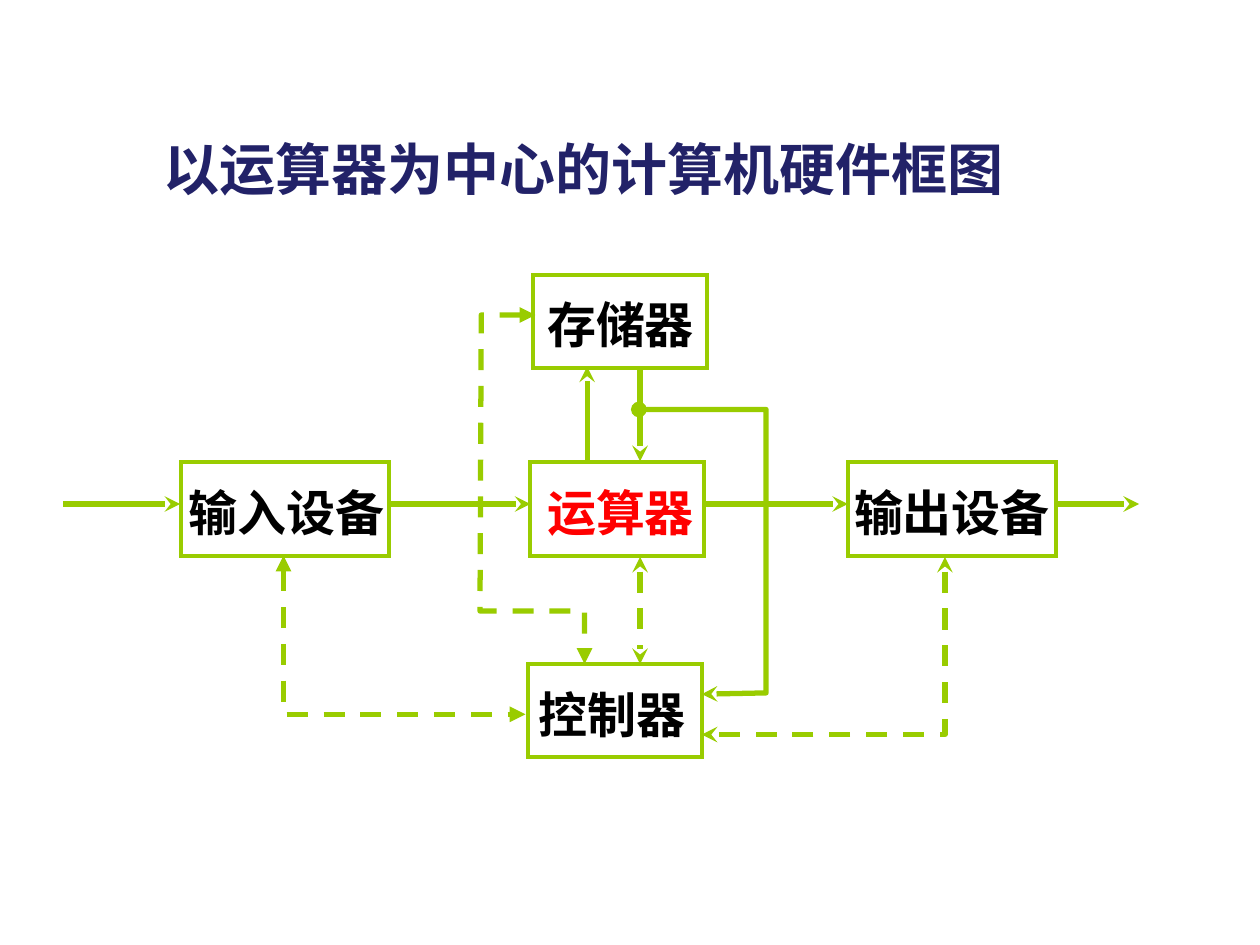
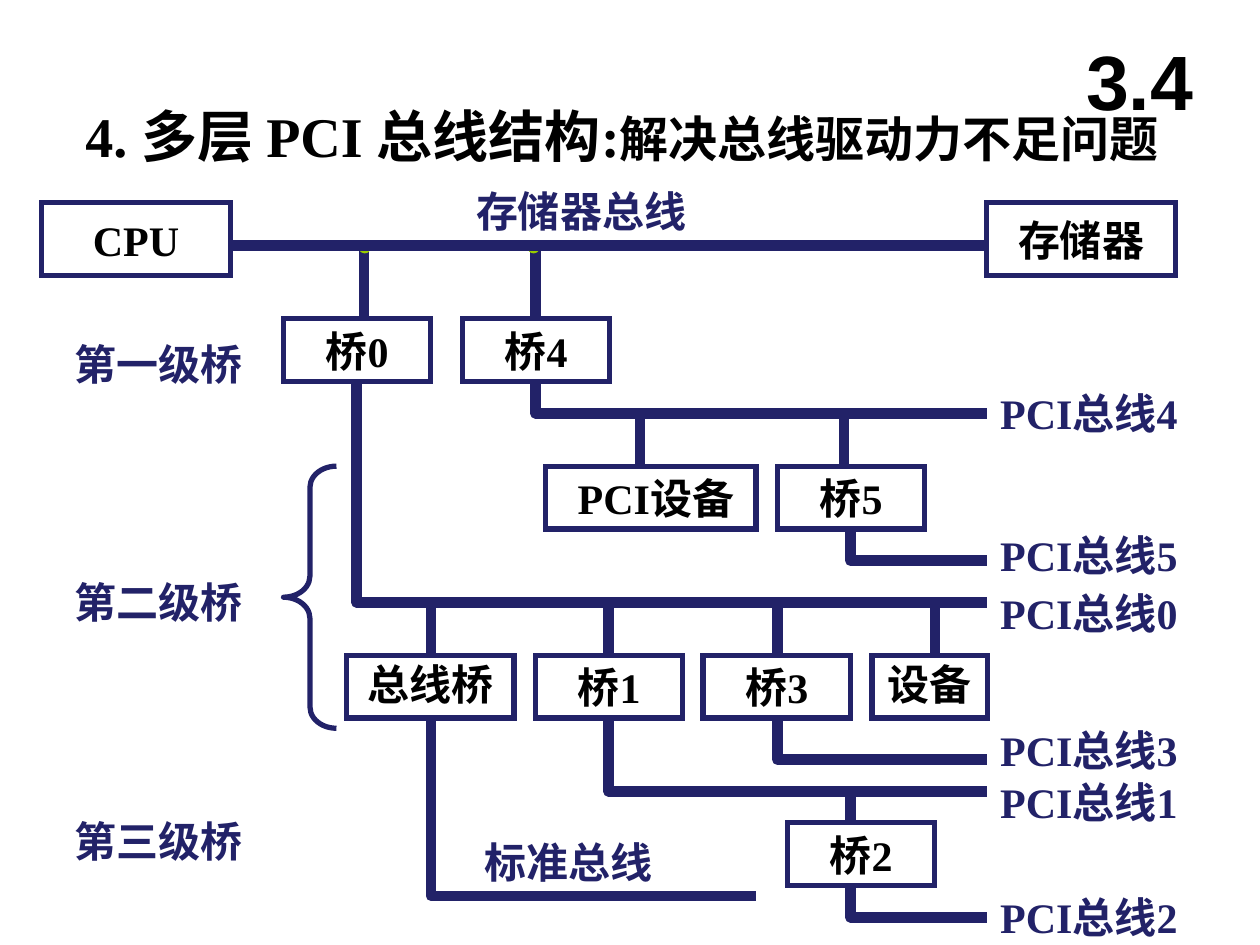
"""Build two slides on computer hardware blocks and layered PCI buses."""
from dataclasses import dataclass

from pptx import Presentation
from pptx.dml.color import RGBColor
from pptx.enum.dml import MSO_LINE
from pptx.enum.shapes import MSO_CONNECTOR, MSO_SHAPE
from pptx.enum.text import MSO_ANCHOR, MSO_AUTO_SIZE, PP_ALIGN
from pptx.oxml.ns import qn
from pptx.slide import Slide
from pptx.util import Inches, Pt
from lxml import etree

RECT, OVAL, BRACE = MSO_SHAPE.RECTANGLE, MSO_SHAPE.OVAL, MSO_SHAPE.LEFT_BRACE
STRAIGHT, DASH = MSO_CONNECTOR.STRAIGHT, MSO_LINE.DASH
LEFT, CENTER = PP_ALIGN.LEFT, PP_ALIGN.CENTER
TOP, MIDDLE = MSO_ANCHOR.TOP, MSO_ANCHOR.MIDDLE
NO_FIT = MSO_AUTO_SIZE.NONE

GREEN, NAVY, RED, BLACK = "99CC00", "222268", "FF0000", "000000"
SANS, SERIF, ARIAL = "Noto Sans CJK SC", "Times New Roman", "Arial"
PADS = (0.1, 0.05, 0.1, 0.05)
FLUSH = (0, 0, 0, 0)
RAISED = (0.1, 0.01, 0.1, 0.05)
SHIFTED = (0.18, 0.05, 0.1, 0.05)
Point = tuple[float, float]


@dataclass
class Run:
    text: str
    size: float = 24
    color: str = NAVY
    font: str = SERIF


@dataclass
class Unit:
    name: str
    left: float
    top: float
    width: float
    text_left: float
    text_width: float
    color: str = BLACK


@dataclass
class Route:
    points: list[Point]
    head: str = ""
    tail: str = "stealth"
    dashed: bool = False


@dataclass
class Node:
    name: str
    left: float
    top: float
    width: float = 1.17
    height: float = 0.5
    pads: tuple = PADS


@dataclass
class Bus:
    left: float
    top: float
    level: float
    right: float = 7.83
    name: str = ""
    name_top: float = 0


UNITS = [
    Unit("存储器", 4.23, 2.18, 1.38, 4.34, 1.17),
    Unit("输入设备", 1.44, 3.67, 1.65, 1.5, 1.55),
    Unit("运算器", 4.21, 3.67, 1.38, 4.34, 1.17, RED),
    Unit("控制器", 4.19, 5.27, 1.38, 4.27, 1.17),
    Unit("输出设备", 6.73, 3.67, 1.65, 6.78, 1.55),
]
ROUTES = [
    Route([(2.25, 4.41), (2.25, 5.67), (4.17, 5.67)], "triangle", "triangle", True),
    Route([(4.25, 2.5), (3.82, 2.5), (3.81, 4.85), (4.64, 4.85), (4.64, 5.27)],
          "triangle", "triangle", True),
    Route([(5.08, 4.42), (5.08, 5.27)], "stealth", dashed=True),
    Route([(7.5, 4.42), (7.5, 5.83), (5.57, 5.83)], "stealth", dashed=True),
    Route([(4.66, 3.67), (4.66, 2.91)]),
    Route([(5.08, 2.92), (5.08, 3.66)]),
    Route([(5.07, 3.25), (6.08, 3.25), (6.08, 5.5), (5.57, 5.51)], "oval"),
] + [Route([(start, 4), (end, 4)]) for start, end in
     [(0.5, 1.43), (3.08, 4.21), (5.58, 6.73), (8.4, 9.04)]]

NODES = [
    Node("CPU", 0.33, 1.61, 1.5, 0.58),
    Node("存储器", 7.83, 1.61, 1.5, 0.58),
    Node("桥0", 2.25, 2.53),
    Node("桥4", 3.67, 2.53),
    Node("PCI设备", 4.33, 3.7, 1.67, pads=SHIFTED),
    Node("桥5", 6.17, 3.7),
    Node("总线桥", 2.75, 5.2, 1.33, pads=RAISED),
    Node("桥1", 4.25, 5.2),
    Node("桥3", 5.58, 5.2),
    Node("设备", 6.92, 5.2, 0.92, pads=RAISED),
    Node("桥2", 6.25, 6.53),
]
BUSES = [
    Bus(4.25, 3.03, 3.28, name="PCI总线4", name_top=3.03),
    Bus(6.75, 4.2, 4.45, name="PCI总线5", name_top=4.15),
    Bus(2.83, 3.03, 4.78, name="PCI总线0", name_top=4.61),
    Bus(6.17, 5.7, 6.03, name="PCI总线3", name_top=5.7),
    Bus(4.83, 5.7, 6.28, name="PCI总线1", name_top=6.11),
    Bus(6.75, 7.03, 7.28, name="PCI总线2", name_top=7.03),
    Bus(3.42, 5.7, 7.11, 6),
]
STUBS = [(2.89, 1.98, 2.53), (4.25, 1.95, 2.53), (5.08, 3.28, 3.7),
         (6.7, 3.31, 3.7), (6.75, 6.28, 6.53)]
STUBS += [(x, 4.78, 5.2) for x in (3.42, 4.83, 6.17, 7.42)]
TIERS = ["第一级桥", "第二级桥", "第三级桥"]


def rgb(code: str) -> RGBColor:
    return RGBColor.from_string(code)


def style_line(shape, color: str, width: float, join: str = "round",
               dashed: bool = False, head: str = "", tail: str = "") -> None:
    line = shape.line
    line.color.rgb = rgb(color)
    line.width = Pt(width)
    if dashed:
        line.dash_style = DASH
    node = shape._element.spPr.find(qn("a:ln"))
    etree.SubElement(node, qn("a:" + join))
    for tag, kind in (("a:headEnd", head), ("a:tailEnd", tail)):
        if kind:
            etree.SubElement(node, qn(tag), type=kind)


def write(shape, runs: list[Run], pads: tuple = PADS, align=LEFT,
          anchor=TOP, wrap: bool = False) -> None:
    frame = shape.text_frame
    frame.auto_size = NO_FIT
    frame.word_wrap = wrap
    frame.vertical_anchor = anchor
    (frame.margin_left, frame.margin_top,
     frame.margin_right, frame.margin_bottom) = map(Inches, pads)
    para = frame.paragraphs[0]
    para.alignment = align
    for item in runs:
        run = para.add_run()
        run.text = item.text
        font = run.font
        font.name, font.size, font.bold = item.font, Pt(item.size), True
        font.color.rgb = rgb(item.color)
        etree.SubElement(run._r.get_or_add_rPr(), qn("a:ea"), typeface=SANS)


def add_text(slide: Slide, runs: list[Run], left: float, top: float,
             width: float, height: float = 0.5, **style) -> None:
    box = slide.shapes.add_textbox(*map(Inches, (left, top, width, height)))
    write(box, runs, **style)


def add_form(slide: Slide, kind, left: float, top: float, width: float,
             height: float, color: str, weight: float, fill: str = ""):
    shape = slide.shapes.add_shape(kind, *map(Inches, (left, top, width, height)))
    shape.shadow.inherit = False
    if fill:
        shape.fill.solid()
        shape.fill.fore_color.rgb = rgb(fill)
    else:
        shape.fill.background()
    style_line(shape, color, weight, "miter" if kind == RECT else "round")
    return shape


def add_route(slide: Slide, points: list[Point], color: str, weight: float,
              **style) -> None:
    spots = [(Inches(x), Inches(y)) for x, y in points]
    if len(spots) == 2:
        shape = slide.shapes.add_connector(STRAIGHT, *spots[0], *spots[1])
        style_line(shape, color, weight, **style)
        etree.SubElement(shape._element.spPr, qn("a:effectLst"))
        return
    path = slide.shapes.build_freeform(*spots[0])
    path.add_line_segments(spots[1:], close=False)
    shape = path.convert_to_shape()
    shape.shadow.inherit = False
    shape.fill.background()
    style_line(shape, color, weight, **style)


def draw_units(slide: Slide) -> None:
    for unit in UNITS:
        add_form(slide, RECT, unit.left, unit.top, unit.width, 0.74, GREEN, 2.25)
        add_text(slide, [Run(unit.name, 28, unit.color, SANS)], unit.text_left,
                 unit.top + 0.16, unit.text_width, 0.47, pads=FLUSH, align=CENTER)
    for route in ROUTES:
        add_route(slide, route.points, GREEN, 3, dashed=route.dashed,
                  head=route.head, tail=route.tail)
    title = Run("以运算器为中心的计算机硬件框图", 32, NAVY, SANS)
    add_text(slide, [title], 1.2, 1.02, 6.87, 0.64)


def draw_buses(slide: Slide) -> None:
    title = [Run("4. 多层 PCI 总线结构:", 32, BLACK),
             Run("解决总线驱动力不足问题", 28, BLACK)]
    add_text(slide, title, 0.58, 0.76, 9.24, 0.64)
    add_text(slide, [Run("3.4", 44, BLACK, ARIAL)], 8.42, 0.17, 1.25, 0.92,
             align=CENTER, anchor=MIDDLE, wrap=True)
    for x, top, end in STUBS:
        add_route(slide, [(x, top), (x, end)], NAVY, 6)
    for left in (2.87, 4.21):
        add_form(slide, OVAL, left, 1.95, 0.05, 0.04, GREEN, 3, BLACK)
    add_route(slide, [(1.83, 1.95), (7.83, 1.95)], NAVY, 6)
    for bus in BUSES:
        add_route(slide, [(bus.left, bus.top), (bus.left, bus.level),
                          (bus.right, bus.level)], NAVY, 6)
        if bus.name:
            add_text(slide, [Run(bus.name)], 7.84, bus.name_top, 1.76)
    for node in NODES:
        shape = add_form(slide, RECT, node.left, node.top, node.width,
                         node.height, NAVY, 3)
        write(shape, [Run(node.name, color=BLACK)], node.pads, CENTER, MIDDLE)
    brace = add_form(slide, BRACE, 2.25, 3.7, 0.42, 2.08, NAVY, 3)
    brace.adjustments[0] = 0.4
    for step, tier in enumerate(TIERS):
        add_text(slide, [Run(tier)], 0.49, 2.64 + 1.89 * step, 1.53)
    add_text(slide, [Run("存储器总线")], 3.68, 1.42, 1.87)
    add_text(slide, [Run("标准总线")], 3.75, 6.59, 1.53)


def main() -> None:
    deck = Presentation()
    deck.slide_width, deck.slide_height = Inches(10), Inches(7.5)
    blank = deck.slide_layouts[6]
    for draw in (draw_units, draw_buses):
        draw(deck.slides.add_slide(blank))
    deck.save("out.pptx")


if __name__ == "__main__":
    main()
